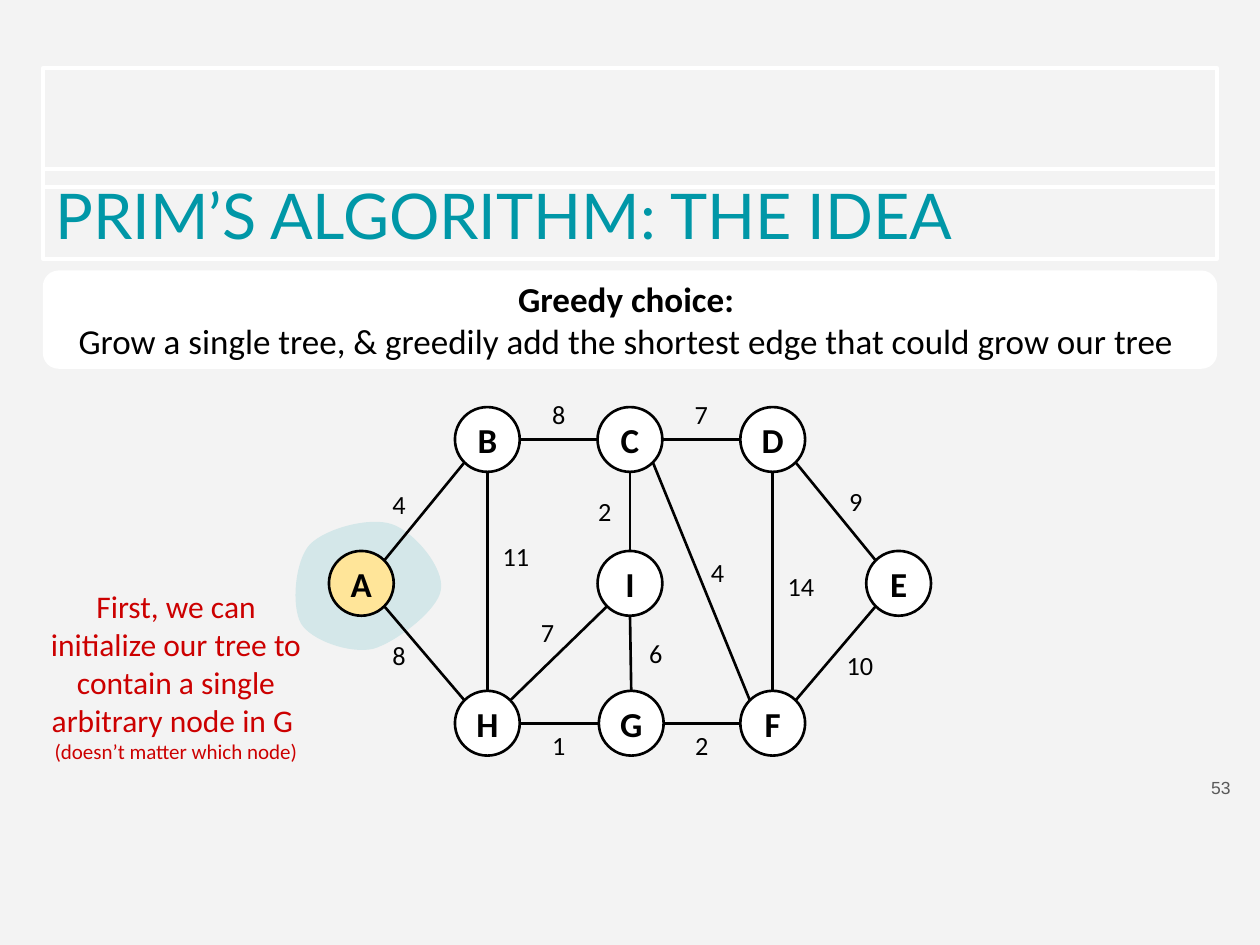
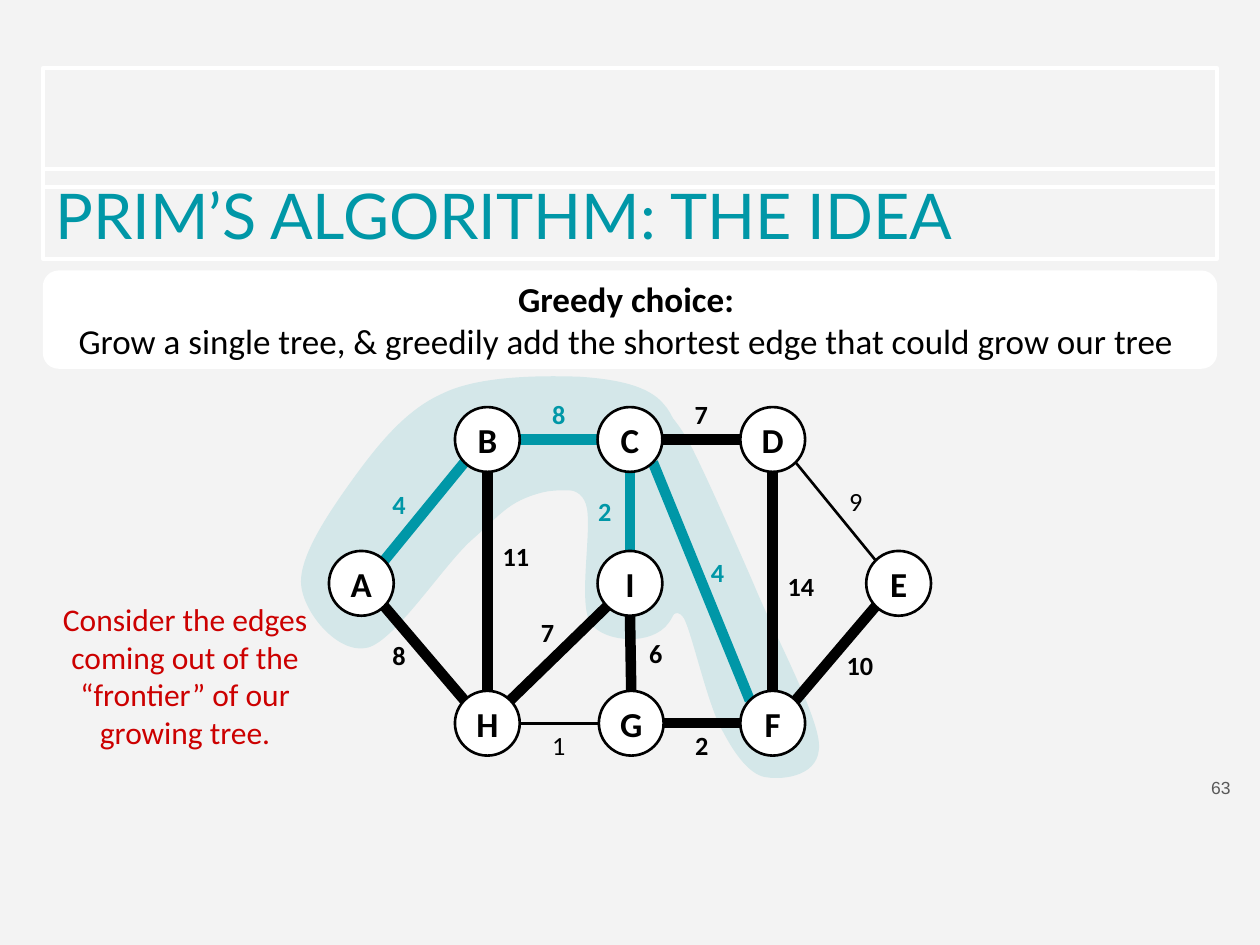
"""Build two slides on Prim's algorithm, each a weighted graph with its growing tree."""
import dataclasses
import math
import typing

import lxml.etree
import pptx
import pptx.dml.color
import pptx.enum.shapes
import pptx.enum.text
import pptx.oxml.ns
import pptx.util

SHAPE = pptx.enum.shapes.MSO_SHAPE
ALIGN = pptx.enum.text.PP_ALIGN
COLUMNS, ROWS = 100, 75
WIDTH, HEIGHT = pptx.util.Inches(10), pptx.util.Inches(7.5)
Point = tuple[float, float]


@dataclasses.dataclass(frozen=True)
class Theme:
    background: str = "F3F3F3"
    white: str = "FFFFFF"
    black: str = "000000"
    teal: str = "0097A7"
    red: str = "CC0000"
    grey: str = "595959"
    tree_area: str = "D4E7E9"
    start_node: str = "FFE599"
    title_font: str = "Lato"
    body_font: str = "Calibri"
    number_font: str = "Arial"
    title_size: float = 36
    body_size: float = 20
    callout_size: float = 18
    weight_size: float = 15
    note_size: float = 12
    number_size: float = 10
    frame_line: float = 2.25
    thin_line: float = 1.5
    thick_line: float = 6


THEME = Theme()


class Box(typing.NamedTuple):
    col: float
    row: float
    cols: float
    rows: float


class Style(typing.NamedTuple):
    size: float
    color: str = THEME.black
    bold: bool = False
    font: str = THEME.body_font


class Edge(typing.NamedTuple):
    ends: str
    weight: int
    label: Point


class Blob(typing.NamedTuple):
    box: Box
    start: Point
    curves: list[tuple[Point, Point, Point]]


@dataclasses.dataclass(frozen=True)
class Step:
    number: int
    callout: str
    callout_box: Box
    callout_styles: list[Style]
    blobs: list[Blob]
    start: str = ""
    tree: frozenset[str] = frozenset()
    frontier: frozenset[str] = frozenset()


BANNER_FRAME = Box(3.4, 5.4, 93.2, 9.45)
TITLE_BOX = Box(3.4, 13.44, 93.2, 7.1)
CHOICE_BOX = Box(3.4, 21.47, 93.2, 7.8)
NUMBER_BOX = Box(92.65, 60.35, 6, 4.3)
DIAMETER = 5.14
LABEL_SIZE = 4.1
TOP, MIDDLE, BOTTOM = 34.88, 46.3, 57.4
NODES: dict[str, Point] = {
    "B": (38.68, TOP), "C": (50, TOP), "D": (61.33, TOP),
    "A": (28.68, MIDDLE), "I": (50, MIDDLE), "E": (71.32, MIDDLE),
    "H": (38.68, BOTTOM), "G": (50.1, BOTTOM), "F": (61.33, BOTTOM),
}
EDGES = [
    Edge("BC", 8, (44.35, 32.85)), Edge("CD", 7, (55.65, 32.85)),
    Edge("HG", 1, (44.35, 59.15)), Edge("GF", 2, (55.7, 59.15)),
    Edge("FE", 10, (68.25, 52.8)), Edge("ED", 9, (67.92, 39.75)),
    Edge("HA", 8, (31.67, 52)), Edge("AB", 4, (31.67, 40)),
    Edge("HB", 11, (40.95, 44.15)), Edge("FD", 14, (63.57, 46.5)),
    Edge("FC", 4, (56.95, 45.4)), Edge("IC", 2, (48, 40.55)),
    Edge("GI", 6, (52.05, 51.85)), Edge("HI", 7, (43.45, 50.15)),
]
CALLOUT = Style(THEME.callout_size, THEME.red)
STEPS = [
    Step(
        53,
        "First, we can initialize our tree to contain a single arbitrary node in G "
        "\v(doesn’t matter which node)",
        Box(2.92, 44.15, 22.1, 18.9),
        [CALLOUT, Style(THEME.note_size, THEME.red)],
        [Blob(Box(23.5, 41.4, 11.6, 10.2), (31.1, 41.6), [
            ((29.4, 41), (25.9, 41.9), (24.6, 43.2)),
            ((23.4, 44.5), (23.1, 48.1), (23.9, 49.5)),
            ((24.7, 50.8), (27.7, 51.9), (29.6, 51.5)),
            ((31.4, 51), (34.8, 48.4), (35, 46.8)),
            ((35.3, 45.1), (32.9, 42.2), (31.1, 41.6)),
        ])],
        start="A",
    ),
    Step(
        63,
        "Consider the edges coming out of the “frontier” of our growing tree.",
        Box(3.4, 44.15, 22.6, 18.9),
        [CALLOUT],
        [
            Blob(Box(52.3, 32, 12.7, 29.8), (52.7, 49.8), [
                ((53, 49.7), (53.5, 47.8), (54.3, 49.1)),
                ((55, 50.5), (56.2, 56.1), (57.4, 58.1)),
                ((58.5, 60.2), (59.7, 61.6), (60.9, 61.7)),
                ((62.2, 61.9), (65.2, 61.6), (65, 59)),
                ((64.8, 56.5), (61.4, 50.2), (59.8, 46.3)),
                ((58.1, 42.4), (56.2, 38.1), (55, 35.7)),
                ((53.8, 33.3), (52.8, 32.6), (52.3, 32)),
            ]),
            Blob(Box(43.2, 31.4, 12, 19.4), (43.2, 38.9), [
                ((43.7, 39.1), (45.9, 38.2), (46.5, 40)),
                ((47.1, 41.7), (45.8, 47.9), (46.9, 49.5)),
                ((48, 51), (51.8, 51.3), (53.1, 49.4)),
                ((54.5, 47.5), (55.3, 40.9), (55.2, 38)),
                ((55, 35.1), (53.4, 33), (52.2, 32)),
                ((50.9, 30.9), (48.3, 31.6), (47.5, 31.6)),
            ]),
            Blob(Box(23.9, 29.9, 30.3, 21.6), (28.1, 37.9), [
                ((26.3, 40.4), (23.7, 44.1), (23.9, 46.4)),
                ((24.1, 48.7), (26.9, 52), (29.2, 51.4)),
                ((31.4, 50.8), (35.1, 45), (37.4, 42.9)),
                ((39.7, 40.9), (40.3, 39.8), (43, 39.1)),
                ((45.6, 38.4), (51.7, 40), (53.3, 38.8)),
                ((54.9, 37.6), (54, 33.5), (52.7, 32.1)),
                ((51.5, 30.6), (48.9, 30.1), (46, 29.9)),
                ((43, 29.8), (38.1, 29.8), (35.2, 31.2)),
                ((32.2, 32.5), (30, 35.3), (28.1, 37.9)),
            ]),
        ],
        tree=frozenset({"AB", "BC", "IC", "FC"}),
        frontier=frozenset({"CD", "GF", "FE", "HA", "HB", "FD", "GI", "HI"}),
    ),
]


def rgb(color: str) -> pptx.dml.color.RGBColor:
    return pptx.dml.color.RGBColor.from_string(color)


def x(col: float) -> int:
    return round(WIDTH * col / COLUMNS)


def y(row: float) -> int:
    return round(HEIGHT * row / ROWS)


def place(box: Box) -> tuple[int, int, int, int]:
    return x(box.col), y(box.row), x(box.cols), y(box.rows)


def centred(center: Point, size: float) -> Box:
    return Box(center[0] - size / 2, center[1] - size / 2, size, size)


def paint(sp, fill: str = "", line: str = "", width: float = 0) -> None:
    sp.shadow.inherit = False
    if fill:
        sp.fill.solid()
        sp.fill.fore_color.rgb = rgb(fill)
    else:
        sp.fill.background()
    if line:
        sp.line.color.rgb = rgb(line)
        sp.line.width = pptx.util.Pt(width)
    else:
        sp.line.fill.background()


def write(sp, text: str, styles: list[Style], align=ALIGN.CENTER, side: float = 1) -> None:
    tf = sp.text_frame
    tf.word_wrap = True
    tf.vertical_anchor = pptx.enum.text.MSO_ANCHOR.MIDDLE
    tf.margin_left = tf.margin_right = x(side)
    tf.margin_top = tf.margin_bottom = y(1)
    p = tf.paragraphs[0]
    p.text = text
    p.alignment = align
    for r, style in zip(p.runs, styles):
        r.font.name = style.font
        r.font.size = pptx.util.Pt(style.size)
        r.font.bold = style.bold
        r.font.color.rgb = rgb(style.color)


def add_text(s, box: Box, text: str, styles: list[Style], align=ALIGN.CENTER, side: float = 1) -> None:
    write(s.shapes.add_textbox(*place(box)), text, styles, align, side)


def add_blob(s, blob: Blob) -> None:
    qn, closed = pptx.oxml.ns.qn, blob.curves[-1][-1] == blob.start
    builder = s.shapes.build_freeform(x(blob.start[0]), y(blob.start[1]))
    builder.add_line_segments([(x(c), y(r)) for *_, (c, r) in blob.curves], close=closed)
    sp = builder.convert_to_shape()
    sp.left, sp.top, sp.width, sp.height = place(blob.box)
    outline = next(sp._element.iter(qn("a:path")))
    outline.set("w", str(sp.width))
    outline.set("h", str(sp.height))
    for part in list(outline):
        outline.remove(part)
    parts = [("a:moveTo", (blob.start,))] + [("a:cubicBezTo", curve) for curve in blob.curves]
    for tag, points in parts:
        part = lxml.etree.SubElement(outline, qn(tag))
        for col, row in points:
            lxml.etree.SubElement(part, qn("a:pt"), x=str(x(col) - sp.left), y=str(y(row) - sp.top))
    if closed:
        lxml.etree.SubElement(outline, qn("a:close"))
    paint(sp, THEME.tree_area)


def rim(node: Point, other: Point) -> Point:
    eighth = math.pi / 4
    angle = math.atan2(other[1] - node[1], other[0] - node[0])
    angle = round(angle / eighth) * eighth
    return node[0] + DIAMETER / 2 * math.cos(angle), node[1] + DIAMETER / 2 * math.sin(angle)


def add_edge(s, edge: Edge, step: Step) -> None:
    a, b = (NODES[name] for name in edge.ends)
    in_tree = edge.ends in step.tree
    strong = in_tree or edge.ends in step.frontier
    color = THEME.teal if in_tree else THEME.black
    (x1, y1), (x2, y2) = rim(a, b), rim(b, a)
    line = s.shapes.add_connector(
        pptx.enum.shapes.MSO_CONNECTOR.STRAIGHT, x(x1), y(y1), x(x2), y(y2))
    line.line.color.rgb = rgb(color)
    line.line.width = pptx.util.Pt(THEME.thick_line if strong else THEME.thin_line)
    lxml.etree.SubElement(line._element.spPr, pptx.oxml.ns.qn("a:effectLst"))
    add_text(s, centred(edge.label, LABEL_SIZE), str(edge.weight),
             [Style(THEME.weight_size, color, strong)], side=0)


def add_node(s, name: str, fill: str) -> None:
    sp = s.shapes.add_shape(SHAPE.OVAL, *place(centred(NODES[name], DIAMETER)))
    paint(sp, fill, THEME.black, THEME.thin_line)
    write(sp, name, [Style(THEME.body_size, bold=True)], side=0)


def add_frame(s, box: Box):
    sp = s.shapes.add_shape(SHAPE.RECTANGLE, *place(box))
    paint(sp, line=THEME.white, width=THEME.frame_line)
    return sp


def add_shared(s, number: int) -> None:
    write(add_frame(s, TITLE_BOX), "PRIM’S ALGORITHM: THE IDEA",
          [Style(THEME.title_size, THEME.teal, font=THEME.title_font)], ALIGN.LEFT)
    add_text(s, NUMBER_BOX, str(number),
             [Style(THEME.number_size, THEME.grey, font=THEME.number_font)], ALIGN.RIGHT)
    sp = s.shapes.add_shape(SHAPE.ROUNDED_RECTANGLE, *place(CHOICE_BOX))
    sp.adjustments[0] = 0.16
    paint(sp, THEME.white)
    write(sp, "Greedy choice: \vGrow a single tree, & greedily add the shortest edge "
          "that could grow our tree ",
          [Style(THEME.body_size, bold=True), Style(THEME.body_size)])


def add_step(prs, step: Step) -> None:
    layout = prs.slide_layouts[6]
    s = prs.slides.add_slide(layout)
    s.background.fill.solid()
    s.background.fill.fore_color.rgb = rgb(THEME.background)
    if len(prs.slides) == 1:
        layout.shapes._spTree.append(add_frame(s, BANNER_FRAME)._element)
    for blob in step.blobs:
        add_blob(s, blob)
    add_shared(s, step.number)
    for edge in EDGES:
        add_edge(s, edge, step)
    for name in NODES:
        add_node(s, name, THEME.start_node if name == step.start else THEME.white)
    add_text(s, step.callout_box, step.callout, step.callout_styles)


def main() -> None:
    prs = pptx.Presentation()
    prs.slide_width, prs.slide_height = WIDTH, HEIGHT
    for step in STEPS:
        add_step(prs, step)
    prs.save("out.pptx")


if __name__ == "__main__":
    main()
